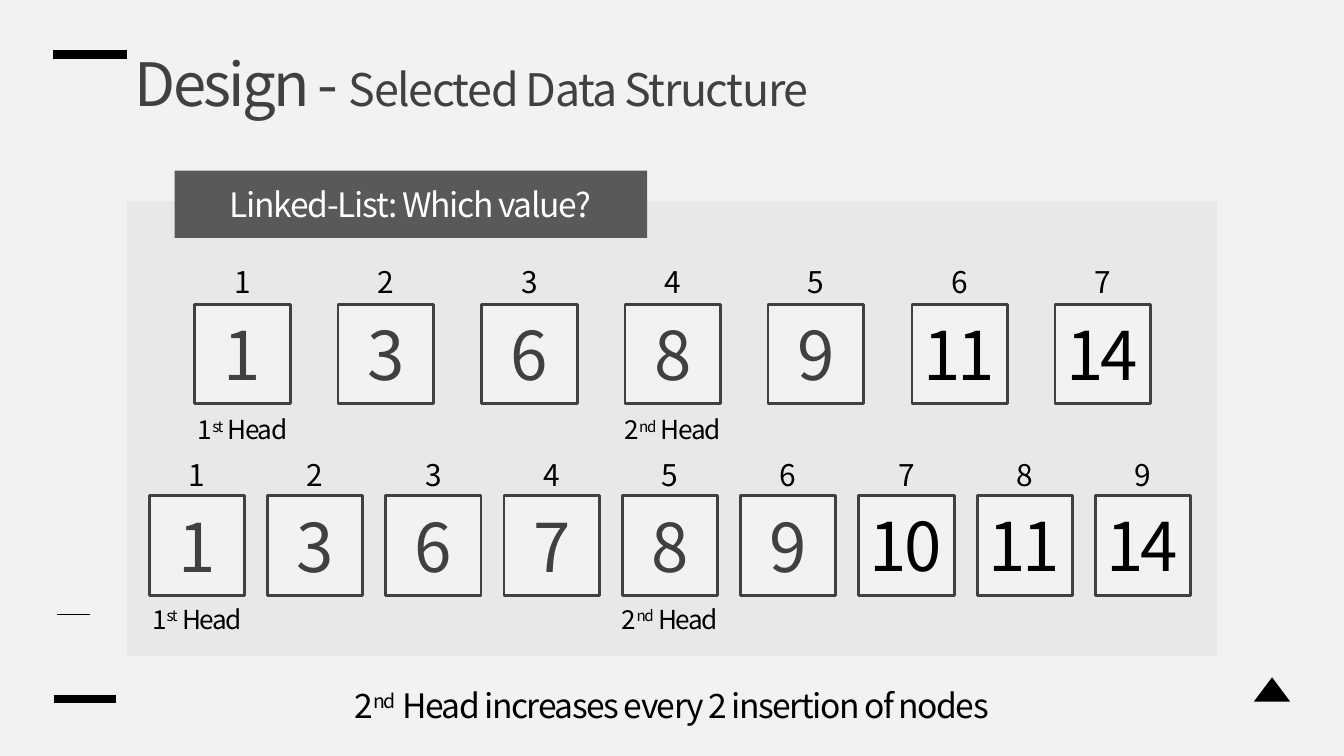
from pptx import Presentation
from pptx import util as u
from pptx.dml.color import RGBColor
from pptx.enum import shapes, text
from pptx.oxml.ns import qn
from lxml import etree

PX = 4572  # EMU per px, 200 px to the inch
FONT = "Noto Sans CJK KR"
COLORS = {
    "paper": "F2F2F2",
    "panel": "E8E8E8",
    "banner": "595959",
    "dark": "404040",
    "black": "000000",
    "white": "FFFFFF",
}
RGB = {name: RGBColor.from_string(value) for name, value in COLORS.items()}

deck = Presentation()
deck.slide_width, deck.slide_height = 2000 * PX, 1125 * PX
slide = deck.slides.add_slide(deck.slide_layouts[6])
slide.background.fill.solid()
slide.background.fill.fore_color.rgb = RGB["paper"]


def add_block(left, top, width, height, fill, preset=shapes.MSO_SHAPE.RECTANGLE):
    block = slide.shapes.add_shape(preset, left * PX, top * PX, width * PX, height * PX)
    block.shadow.inherit = False
    block.fill.solid()
    block.fill.fore_color.rgb = RGB[fill]
    block.line.fill.background()
    return block


def write(spans, size, color="black", spacing=0, shape=None, at=None,
          wrap=True, align=text.PP_ALIGN.CENTER):
    """Fill the given shape, or a new text box at `at`; a span after "^" is raised."""
    box = shape or slide.shapes.add_textbox(*(length * PX for length in at))
    frame = box.text_frame
    frame.word_wrap = wrap
    if shape:
        frame.vertical_anchor = text.MSO_ANCHOR.MIDDLE
    else:
        frame.auto_size = text.MSO_AUTO_SIZE.SHAPE_TO_FIT_TEXT
    para = frame.paragraphs[0]
    para.alignment = align
    for words in spans:
        span = para.add_run()
        span.text = words.lstrip("^")
        span.font.name = FONT
        span.font.size = u.Pt(size)
        span.font.color.rgb = RGB[color]
        properties = span._r.get_or_add_rPr()
        if spacing:
            properties.set("spc", str(spacing))
        if words.startswith("^"):
            properties.set("baseline", "30000")
    return para


# Panel and margin rules
add_block(189, 299, 1622, 678, "panel")
for start, end, y, weight in [(86, 182, 81, 4.75), (86, 134, 915, 0.5), (86, 166, 1040, 4.5)]:
    rule = slide.shapes.add_connector(
        shapes.MSO_CONNECTOR.STRAIGHT, start * PX, y * PX, end * PX, y * PX)
    rule.line.color.rgb = RGB["black"]
    rule.line.width = u.Pt(weight)
    properties = rule._element.spPr
    properties.find(qn("a:ln")).set("cap", "sq")
    etree.SubElement(properties, qn("a:effectLst"))

# Title, banner and corner mark
title = write(["Design - ", "Selected Data Structure"], 32, "dark", -150,
              at=(181, 60, 1434, 128), align=text.PP_ALIGN.LEFT)
subtitle = title.runs[1]
subtitle.font.size = u.Pt(24)
subtitle._r.get_or_add_rPr().set("spc", "-80")
banner = add_block(260, 254, 703, 100, "banner")
write(["Linked-List: Which value?"], 18, "white", -70, shape=banner)
add_block(1866, 1008, 54, 36, "black", shapes.MSO_SHAPE.ISOSCELES_TRIANGLE)

# Linked lists: left, step, node top, index top, head top, second head, values
NODE_WIDTH, NODE_HEIGHT = 142, 148
lists = [
    (290, 213.33, 453, 383, 606, 3, [1, 3, 6, 8, 9, 11, 14]),
    (222, 176, 738, 670, 888, 4, [1, 3, 6, 7, 8, 9, 10, 11, 14]),
]
for left, step, node_top, index_top, head_top, second, values in lists:
    heads = {0: ["1", "^st", " Head"], second: ["2", "^nd", " Head"]}
    for index, value in enumerate(values):
        x = round(left + index * step)
        node = add_block(x, node_top, NODE_WIDTH, NODE_HEIGHT, "paper")
        node.line.color.rgb = RGB["dark"]
        node.line.width = u.Pt(1.5)
        if value < 10:
            write([str(value)], 36, "dark", shape=node)
        else:
            write([str(value)], 36, spacing=-150, at=(x - 17, node_top + 3, 174, 142))
        write([str(index + 1)], 16, at=(x + 30, index_top, 82, 74))
        if index in heads:
            write(heads[index], 14, spacing=-80, at=(x - 24, head_top, 190, 68), wrap=False)

write(["2", "^nd", " Head increases every 2 insertion of nodes"], 18, spacing=-80,
      at=(474, 1010, 1052, 80), wrap=False)

deck.save("out.pptx")
